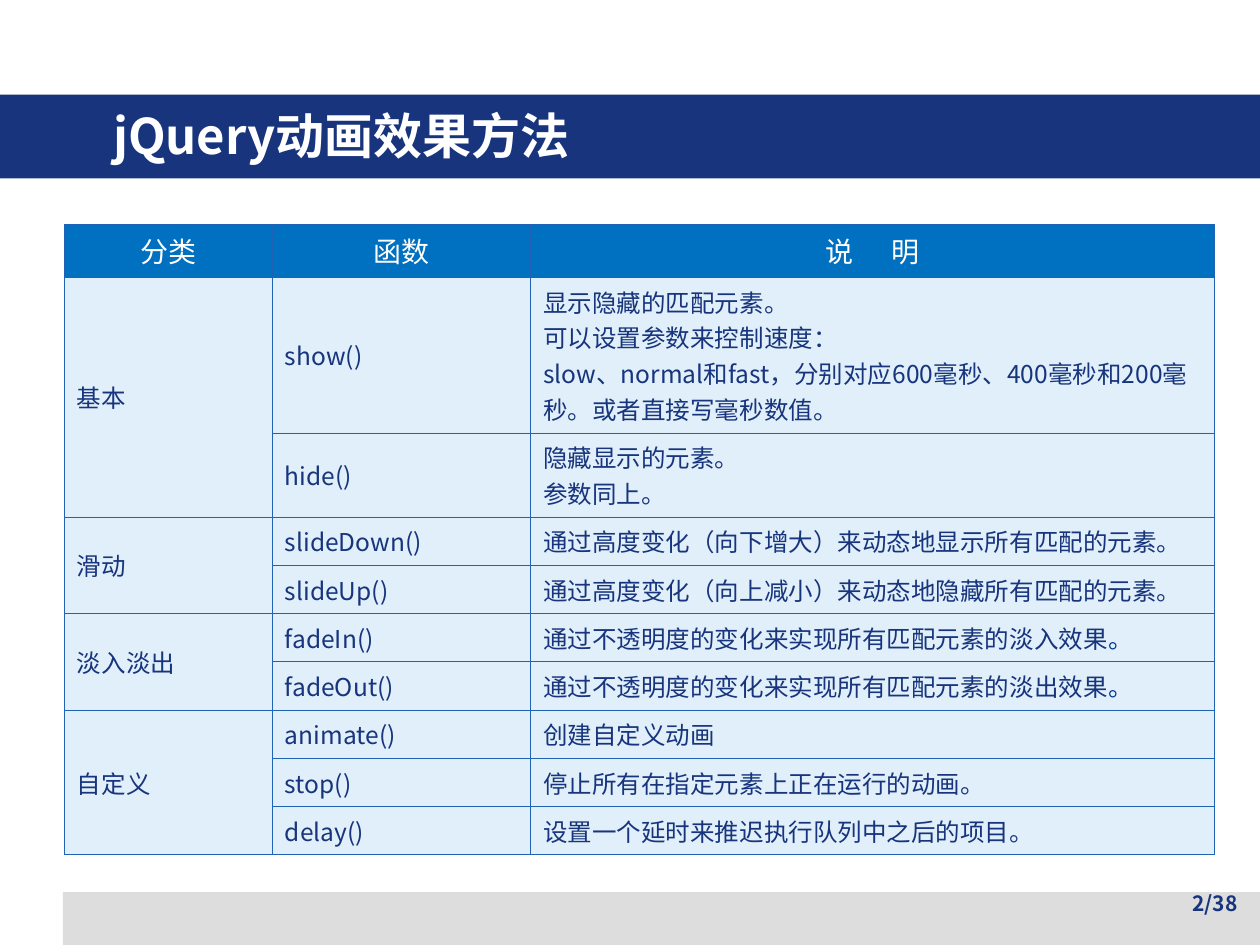
from dataclasses import dataclass

from lxml import etree
from pptx import Presentation
from pptx.dml.color import RGBColor
from pptx.enum import shapes, text
from pptx.oxml import ns
from pptx.util import Pt

FONT = "Noto Sans CJK SC"
WHITE = RGBColor(0xFF, 0xFF, 0xFF)
NAVY = RGBColor(0x17, 0x34, 0x7D)
GREY = RGBColor(0xDD, 0xDD, 0xDD)
HEADER_BLUE = RGBColor(0x00, 0x70, 0xC0)
CELL_BLUE = RGBColor(0xC3, 0xE0, 0xF5)
BORDER_BLUE = RGBColor(0x20, 0x62, 0xB4)
STOP_BLUE = RGBColor(0x00, 0x33, 0x99)

LEFT, CENTER, RIGHT = text.PP_ALIGN.LEFT, text.PP_ALIGN.CENTER, text.PP_ALIGN.RIGHT
MIDDLE, TOP = text.MSO_ANCHOR.MIDDLE, text.MSO_ANCHOR.TOP


@dataclass
class Bar:
    x: float
    y: float
    w: float
    h: float
    color: RGBColor


@dataclass
class Label:
    words: str
    x: float
    y: float
    w: float
    h: float
    size: float
    color: RGBColor
    align: text.PP_ALIGN
    anchor: text.MSO_ANCHOR


@dataclass
class Method:
    name: str
    lines: list[str]
    height: float = 27.6
    stop: str = ""  # closing mark in its own colour


@dataclass
class Group:
    title: str
    methods: list[Method]


BARS = [Bar(36, 509.8, 684, 30.2, GREY), Bar(0, 54, 720, 48, NAVY)]
LABELS = [
    Label("jQuery动画效果方法", 57.6, 41.8, 648, 70.6, 28, WHITE, LEFT, MIDDLE),
    Label("2/38", 546.5, 505.4, 167.8, 28.8, 12, NAVY, RIGHT, TOP),
]
HEADER_HEIGHT = 30.4
COLUMN_WIDTHS = [118.8, 147.6, 391]
GROUPS = [
    Group("基本", [
        Method("show()", [
            "显示隐藏的匹配元素。",
            "可以设置参数来控制速度：",
            "slow、normal和fast，分别对应600毫秒、400毫秒和200毫秒。或者直接写毫秒数值。",
        ], 89),
        Method("hide()", ["隐藏显示的元素。", "参数同上。"], 48),
    ]),
    Group("滑动", [
        Method("slideDown()", ["通过高度变化（向下增大）来动态地显示所有匹配的元素。"]),
        Method("slideUp()", ["通过高度变化（向上减小）来动态地隐藏所有匹配的元素。"]),
    ]),
    Group("淡入淡出", [
        Method("fadeIn()", ["通过不透明度的变化来实现所有匹配元素的淡入效果"], stop="。"),
        Method("fadeOut()", ["通过不透明度的变化来实现所有匹配元素的淡出效果"], stop="。"),
    ]),
    Group("自定义", [
        Method("animate()", ["创建自定义动画"]),
        Method("stop()", ["停止所有在指定元素上正在运行的动画。"]),
        Method("delay()", ["设置一个延时来推迟执行队列中之后的项目。"]),
    ]),
]


def style(p, size: float, color: RGBColor, align=LEFT, bold: bool = False) -> None:
    p.alignment = align
    p.font.size, p.font.bold, p.font.name = Pt(size), bold, FONT
    p.font.color.rgb = color
    props = p._p.pPr.find(ns.qn("a:defRPr"))
    etree.SubElement(props, ns.qn("a:ea"), typeface=FONT)


def draw_bar(s, bar: Bar) -> None:
    sp = s.shapes.add_shape(shapes.MSO_SHAPE.RECTANGLE,
                            Pt(bar.x), Pt(bar.y), Pt(bar.w), Pt(bar.h))
    sp.shadow.inherit = False
    sp.fill.solid()
    sp.fill.fore_color.rgb = bar.color
    sp.line.fill.background()


def draw_label(s, label: Label) -> None:
    sp = s.shapes.add_textbox(Pt(label.x), Pt(label.y), Pt(label.w), Pt(label.h))
    tf = sp.text_frame
    tf.word_wrap = True
    tf.vertical_anchor = label.anchor
    p = tf.paragraphs[0]
    p.text = label.words
    style(p, label.size, label.color, label.align, bold=True)


def paint_cell(cell, color: RGBColor, opacity: int = 100) -> None:
    props = cell._tc.get_or_add_tcPr()
    for side in ("lnL", "lnR", "lnT", "lnB"):
        line = etree.SubElement(props, ns.qn(f"a:{side}"), w=str(Pt(0.45)))
        fill = etree.SubElement(line, ns.qn("a:solidFill"))
        etree.SubElement(fill, ns.qn("a:srgbClr"), val=str(BORDER_BLUE))
    cell.fill.solid()
    cell.fill.fore_color.rgb = color
    if opacity < 100:
        rgb = props.find(ns.qn("a:solidFill")).find(ns.qn("a:srgbClr"))
        etree.SubElement(rgb, ns.qn("a:alpha"), val=str(opacity * 1000))
    cell.vertical_anchor = MIDDLE


def write_cell(cell, lines: list[str]) -> None:
    cell.text = "\n".join(lines)
    for p in cell.text_frame.paragraphs:
        style(p, 14, NAVY)


def draw_header(table) -> None:
    for cell, parts in zip(table.rows[0].cells, (["分类"], ["函数"], ["说", " ", "明"])):
        paint_cell(cell, HEADER_BLUE)
        p = cell.text_frame.paragraphs[0]
        for part in parts:
            r = p.add_run()
            r.text = part
            if part == " ":  # wide gap by character spacing
                r._r.get_or_add_rPr().set("spc", "1800")
        p.space_before = Pt(4)
        style(p, 16, WHITE, CENTER)


def draw_table(s) -> None:
    heights = [HEADER_HEIGHT] + [m.height for g in GROUPS for m in g.methods]
    frame = s.shapes.add_table(len(heights), len(COLUMN_WIDTHS), Pt(36.8), Pt(128),
                               Pt(sum(COLUMN_WIDTHS)), Pt(sum(heights)))
    table = frame.table
    for column, width in zip(table.columns, COLUMN_WIDTHS):
        column.width = Pt(width)
    for row, height in zip(table.rows, heights):
        row.height = Pt(height)
    draw_header(table)

    row = 1
    for group in GROUPS:
        first = row
        for method in group.methods:
            for cell in table.rows[row].cells:
                paint_cell(cell, CELL_BLUE, 50)
            write_cell(table.cell(row, 1), [method.name])
            note = table.cell(row, 2)
            write_cell(note, method.lines)
            if method.stop:
                r = note.text_frame.paragraphs[-1].add_run()
                r.text = method.stop
                r.font.color.rgb = STOP_BLUE
            row += 1
        write_cell(table.cell(first, 0), [group.title])
        table.cell(first, 0).merge(table.cell(row - 1, 0))


prs = Presentation()
prs.slide_width, prs.slide_height = Pt(720), Pt(540)
s = prs.slides.add_slide(prs.slide_layouts[6])

# Bars behind the title and the page number
for bar in BARS:
    draw_bar(s, bar)

# Title and page number
for label in LABELS:
    draw_label(s, label)

# Table of animation methods
draw_table(s)

prs.save("out.pptx")
